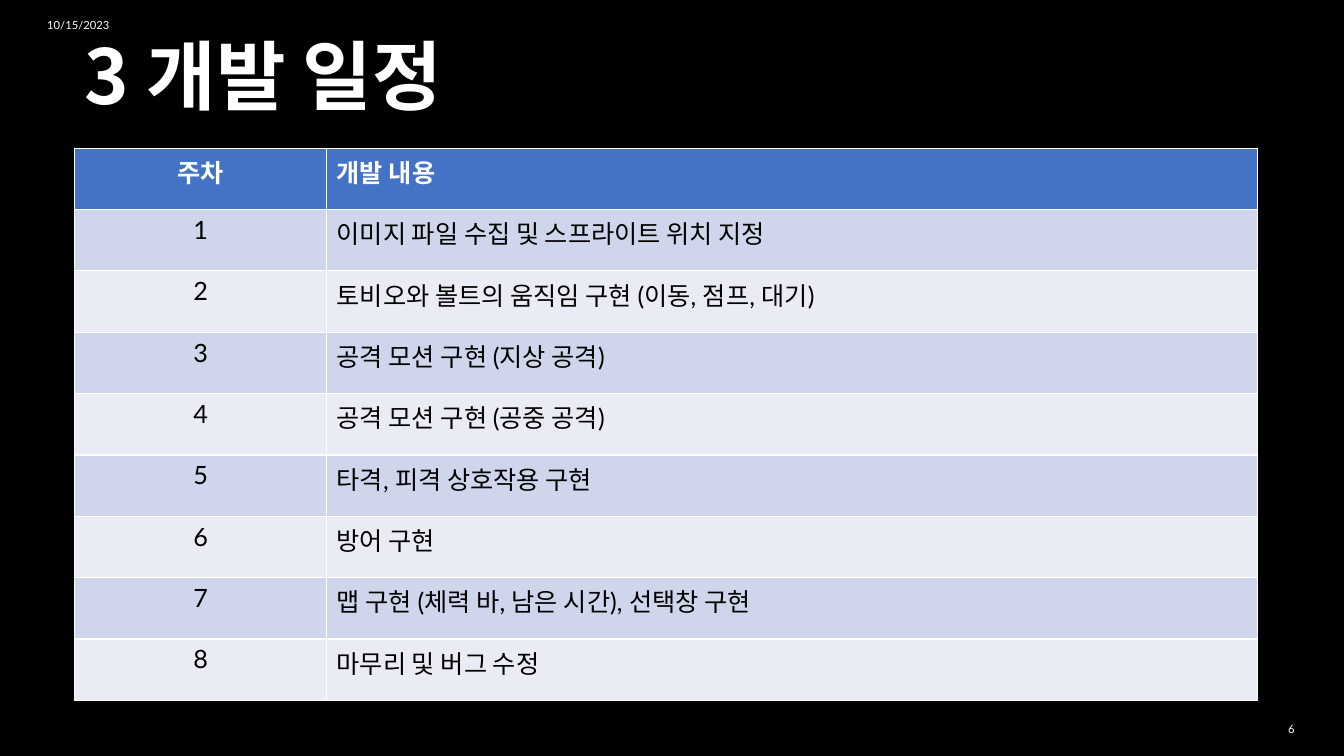
"""Build a dark slide with a weekly development schedule table."""
from pptx import Presentation, util as u
from pptx.dml.color import RGBColor
from pptx.enum import text as t
from pptx.oxml.ns import qn
from lxml import etree

TITLE = "3 개발 일정"
HEAD = ("주차", "개발 내용")
TASKS = [
    "이미지 파일 수집 및 스프라이트 위치 지정",
    "토비오와 볼트의 움직임 구현 (이동, 점프, 대기)",
    "공격 모션 구현 (지상 공격)",
    "공격 모션 구현 (공중 공격)",
    "타격, 피격 상호작용 구현",
    "방어 구현",
    "맵 구현 (체력 바, 남은 시간), 선택창 구현",
    "마무리 및 버그 수정",
]
LEFT, CENTER, RIGHT = t.PP_ALIGN.LEFT, t.PP_ALIGN.CENTER, t.PP_ALIGN.RIGHT
NOTES = [
    ("10/15/2023", (0.37, 0.07, 3, 0.35), LEFT),
    ("6", (12.47, 7.03, 0.47, 0.4), RIGHT),
]
TITLE_BOX = (0.74, 0.42, 10.89, 0.83)
GRID = (0.74, 1.47, 11.73, 5.48)
COLS = (2.5, 9.23)

BLACK = RGBColor(0, 0, 0)
WHITE = RGBColor(255, 255, 255)
BLUE = RGBColor(0x44, 0x72, 0xC4)
BANDS = (RGBColor(0xE9, 0xEB, 0xF5), RGBColor(0xCF, 0xD5, 0xEA))
LATIN, KOREAN = "Lato", "Noto Sans CJK KR"


def inches(box):
    return [u.Inches(n) for n in box]


def write(frame, words, size, color, bold=False, align=LEFT, name=LATIN):
    para = frame.paragraphs[0]
    para.alignment = align
    run = para.add_run()
    run.text = words
    look = {"size": u.Pt(size), "bold": bold, "name": name}
    for key, val in look.items():
        setattr(run.font, key, val)
    run.font.color.rgb = color
    etree.SubElement(run.font._element, qn("a:ea"), typeface=KOREAN)
    return para


def add_title(slide):
    title = slide.shapes.title
    title.left, title.top, title.width, title.height = inches(TITLE_BOX)
    frame = title.text_frame
    frame.auto_size = t.MSO_AUTO_SIZE.NONE
    frame.vertical_anchor = t.MSO_ANCHOR.BOTTOM
    para = write(frame, TITLE, 54, WHITE, True, name=KOREAN)
    para.line_spacing = 0.9


def add_plan(slide):
    rows = [HEAD] + [(str(n), task) for n, task in enumerate(TASKS, 1)]
    table = slide.shapes.add_table(len(rows), len(COLS), *inches(GRID)).table
    for col, wide in zip(table.columns, COLS):
        col.width = u.Inches(wide)
    for r, row in enumerate(rows):
        top = r == 0
        for c, words in enumerate(row):
            cell = table.cell(r, c)
            cell.fill.solid()
            cell.fill.fore_color.rgb = BLUE if top else BANDS[r % 2]
            write(cell.text_frame, words, 18, WHITE if top else BLACK,
                  top, LEFT if c else CENTER)


def add_notes(slide):
    for words, box, align in NOTES:
        frame = slide.shapes.add_textbox(*inches(box)).text_frame
        frame.word_wrap = True
        frame.vertical_anchor = t.MSO_ANCHOR.MIDDLE
        write(frame, words, 8, WHITE, align=align)


def main():
    deck = Presentation()
    deck.slide_width, deck.slide_height = inches((13.33, 7.5))
    slide = deck.slides.add_slide(deck.slide_layouts[5])
    fill = slide.background.fill
    fill.solid()
    fill.fore_color.rgb = BLACK
    add_title(slide)
    add_plan(slide)
    add_notes(slide)
    deck.save("out.pptx")


if __name__ == "__main__":
    main()
